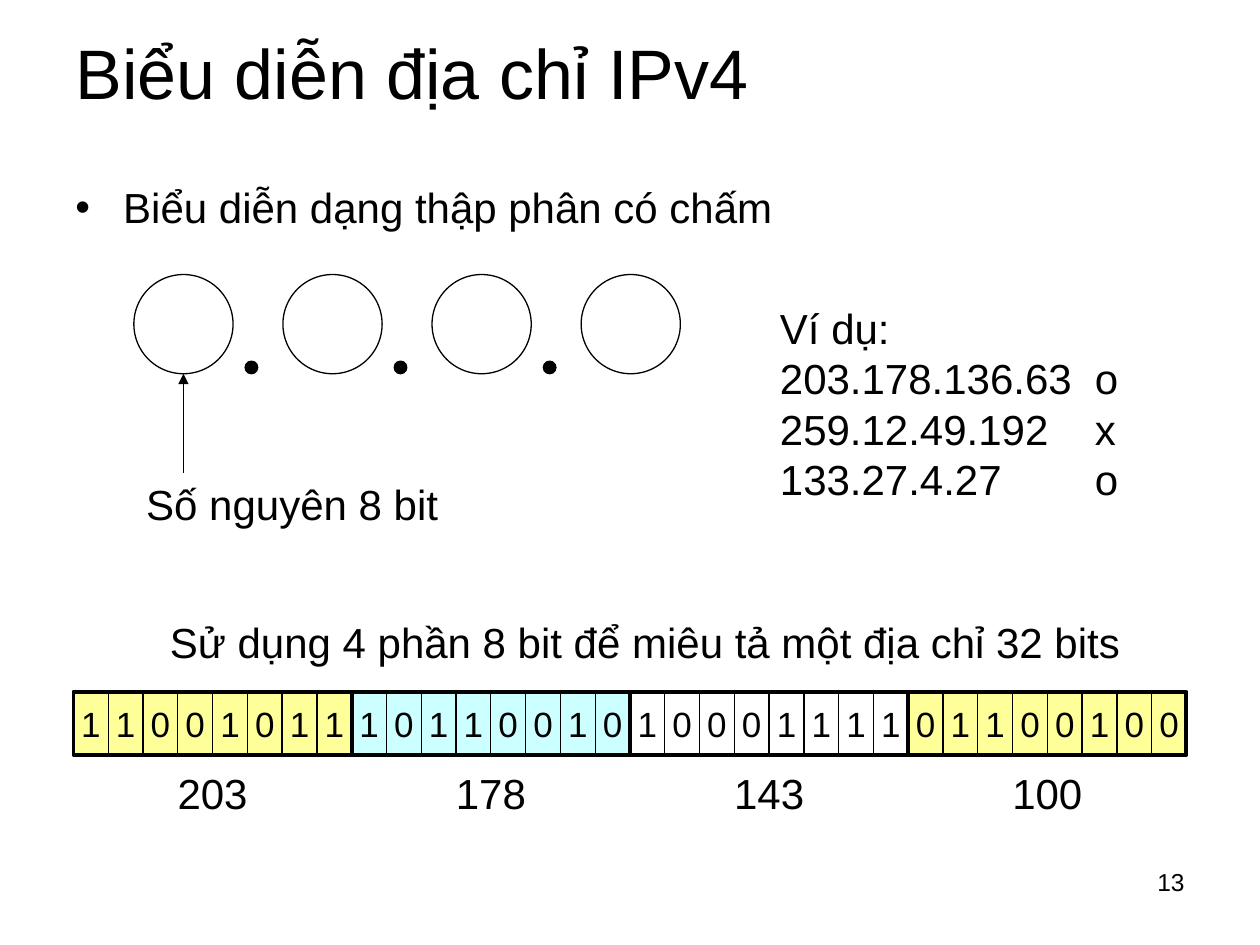
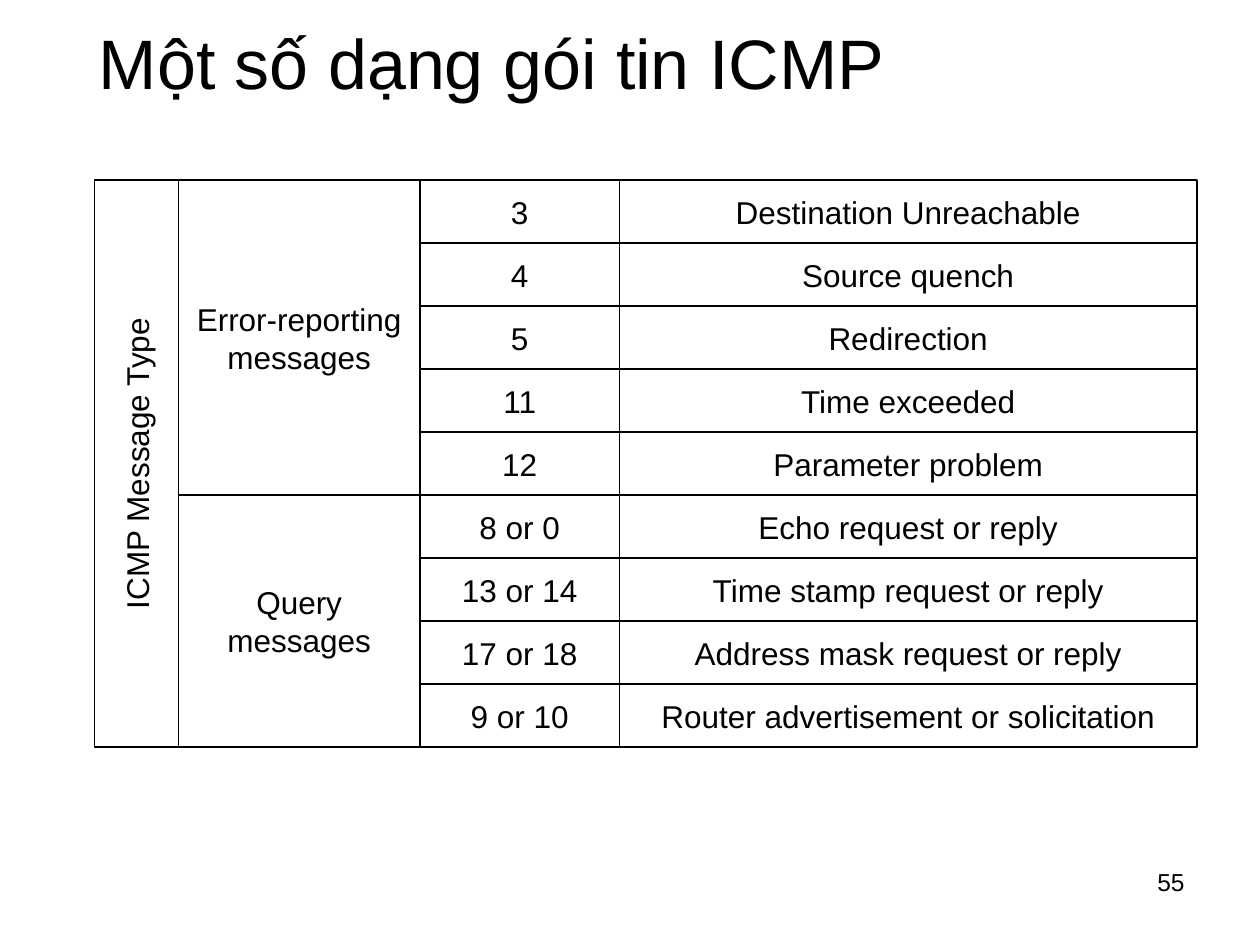
from lxml.etree import SubElement
from pptx import Presentation
from pptx.dml.color import RGBColor
from pptx.enum.shapes import MSO_CONNECTOR, MSO_SHAPE
from pptx.enum.text import MSO_ANCHOR, PP_ALIGN
from pptx.oxml.ns import qn
from pptx.util import Inches, Pt

BLACK = RGBColor(0x00, 0x00, 0x00)
WHITE = RGBColor(0xFF, 0xFF, 0xFF)
YELLOW = RGBColor(0xFF, 0xFF, 0x99)
CYAN = RGBColor(0xCC, 0xFF, 0xFF)
FONT = "Arial"
UNIT = Inches(1) / 12  # the grid is 120 columns by 90 rows

TITLE = {"size": Pt(40), "line_spacing": 0.9, "anchor": MSO_ANCHOR.MIDDLE}
BODY = {"size": Pt(24)}
SUM = {"size": Pt(24), "alignment": PP_ALIGN.CENTER}
PAGE = {"size": Pt(14), "alignment": PP_ALIGN.RIGHT}
CELL = {"size": Pt(18), "alignment": PP_ALIGN.CENTER, "anchor": MSO_ANCHOR.MIDDLE}
BIT = {**CELL, "size": Pt(20), "margin": 0}


def write(shape, text, style, tabs=(), bullet=None):
    """Fill a shape with one paragraph per line of text."""
    frame = shape.text_frame
    frame.word_wrap = True
    frame.vertical_anchor = style.get("anchor", MSO_ANCHOR.TOP)
    if "margin" in style:
        frame.margin_left = frame.margin_right = style["margin"]
    frame.text = text
    for para in frame.paragraphs:
        props = para._p.get_or_add_pPr()
        if bullet:
            props.set("marL", str(Inches(0.38)))
            props.set("indent", str(-Inches(0.38)))
            SubElement(props, qn("a:buFont")).set("typeface", FONT)
            SubElement(props, qn("a:buChar")).set("char", bullet)
        if tabs:
            stops = SubElement(props, qn("a:tabLst"))
            for pos in tabs:
                stop = SubElement(stops, qn("a:tab"))
                stop.set("pos", str(Inches(pos)))
                stop.set("algn", "l")
        para.alignment = style.get("alignment", PP_ALIGN.LEFT)
        para.line_spacing = style.get("line_spacing")
        for key, value in {"name": FONT, "size": style["size"]}.items():
            setattr(para.font, key, value)
        para.font.color.rgb = BLACK


def draw(slide, kind, box, fill=None, line=0.75):
    """Add a shape, or a text box if kind is None, at grid units."""
    spot = [round(n * UNIT) for n in box]
    if kind is None:
        return slide.shapes.add_textbox(*spot)
    shape = slide.shapes.add_shape(kind, *spot)
    shape.shadow.inherit = False
    if fill is None:
        shape.fill.background()
    else:
        shape.fill.solid()
        shape.fill.fore_color.rgb = fill
    shape.line.color.rgb = BLACK
    shape.line.width = Pt(line)
    return shape


deck = Presentation()
deck.slide_width, deck.slide_height = Inches(10), Inches(7.5)
slides = []
for title, box, page in [
    ("Biểu diễn địa chỉ IPv4", (6, 1.6, 99, 11.4), "13"),
    ("Một số dạng gói tin ICMP", (8.25, 1.95, 103.5, 8.75), "55"),
]:
    slide = deck.slides.add_slide(deck.slide_layouts[6])
    slide.background.fill.solid()
    slide.background.fill.fore_color.rgb = WHITE
    write(draw(slide, None, box), title, TITLE)
    write(draw(slide, None, (86, 82, 28, 6)), page, PAGE)
    slides.append(slide)
address, icmp = slides

# Dotted decimal form: four circles with three dots between them
write(draw(address, None, (6, 16.7, 72, 6)),
      "Biểu diễn dạng thập phân có chấm", BODY, bullet="•")
LEFT, TOP, STEP, SIZE = 12.75, 26.15, 14.2, 9.45
for i in range(4):
    draw(address, MSO_SHAPE.OVAL, (LEFT + i * STEP, TOP, SIZE, SIZE), WHITE)
    if i < 3:
        draw(address, MSO_SHAPE.OVAL, (23.35 + i * STEP, 34.4, 1.2, 1.2), BLACK)

mid = LEFT + SIZE / 2
ends = [round(n * UNIT) for n in (mid, 45, mid, TOP + SIZE)]
arrow = address.shapes.add_connector(MSO_CONNECTOR.STRAIGHT, *ends)
arrow.line.color.rgb = BLACK
arrow.line.width = Pt(0.75)
SubElement(arrow.line._get_or_add_ln(), qn("a:tailEnd")).set("type", "triangle")
SubElement(arrow._element.spPr, qn("a:effectLst"))

write(draw(address, None, (12.75, 45, 30.5, 6)), "Số nguyên 8 bit", BODY)
write(draw(address, None, (15, 58.1, 95, 6)),
      "Sử dụng 4 phần 8 bit để miêu tả một địa chỉ 32 bits", BODY)
write(draw(address, None, (73.1, 28.2, 40.7, 20.4)),
      "Ví dụ:\n203.178.136.63\to\n259.12.49.192\tx\n133.27.4.27\t\to",
      BODY, tabs=(2, 2.5))

# The 32 bits in four bytes
BYTE, ROW = 26.5, 65.9
bytes4 = [(203, YELLOW), (178, CYAN), (143, None), (100, YELLOW)]
for i, (value, fill) in enumerate(bytes4):
    left = 7 + i * BYTE
    for j, bit in enumerate(f"{value:08b}"):
        box = (left + j * BYTE / 8, ROW, BYTE / 8, 6)
        write(draw(address, MSO_SHAPE.RECTANGLE, box, fill), bit, BIT)
    write(draw(address, None, (left + 1, 72.5, BYTE - 2, 6)), str(value), SUM)
for i in range(4):
    draw(address, MSO_SHAPE.RECTANGLE, (7 + i * BYTE, ROW, BYTE, 6), line=2.25)

# ICMP message types, grouped by purpose
groups = [
    ("Error-reporting\nmessages", [
        ("3", "Destination Unreachable"),
        ("4", "Source quench"),
        ("5", "Redirection"),
        ("11", "Time exceeded"),
        ("12", "Parameter problem"),
    ]),
    ("Query\nmessages", [
        ("8 or 0", "Echo request or reply"),
        ("13 or 14", "Time stamp request or reply"),
        ("17 or 18", "Address mask request or reply"),
        ("9 or 10", "Router advertisement or solicitation"),
    ]),
]
HIGH = 6
top = 17.15
side = draw(icmp, MSO_SHAPE.RECTANGLE, (-14, top + 23, 54, 8), WHITE)
side.rotation = 270
write(side, "ICMP Message Type", CELL)
for name, kinds in groups:
    box = (17, top, 23, HIGH * len(kinds))
    write(draw(icmp, MSO_SHAPE.RECTANGLE, box, WHITE), name, CELL)
    for code, label in kinds:
        for text, left, wide in [(code, 40, 19), (label, 59, 55)]:
            box = (left, top, wide, HIGH)
            write(draw(icmp, MSO_SHAPE.RECTANGLE, box, WHITE), text, CELL)
        top += HIGH

deck.save("out.pptx")
